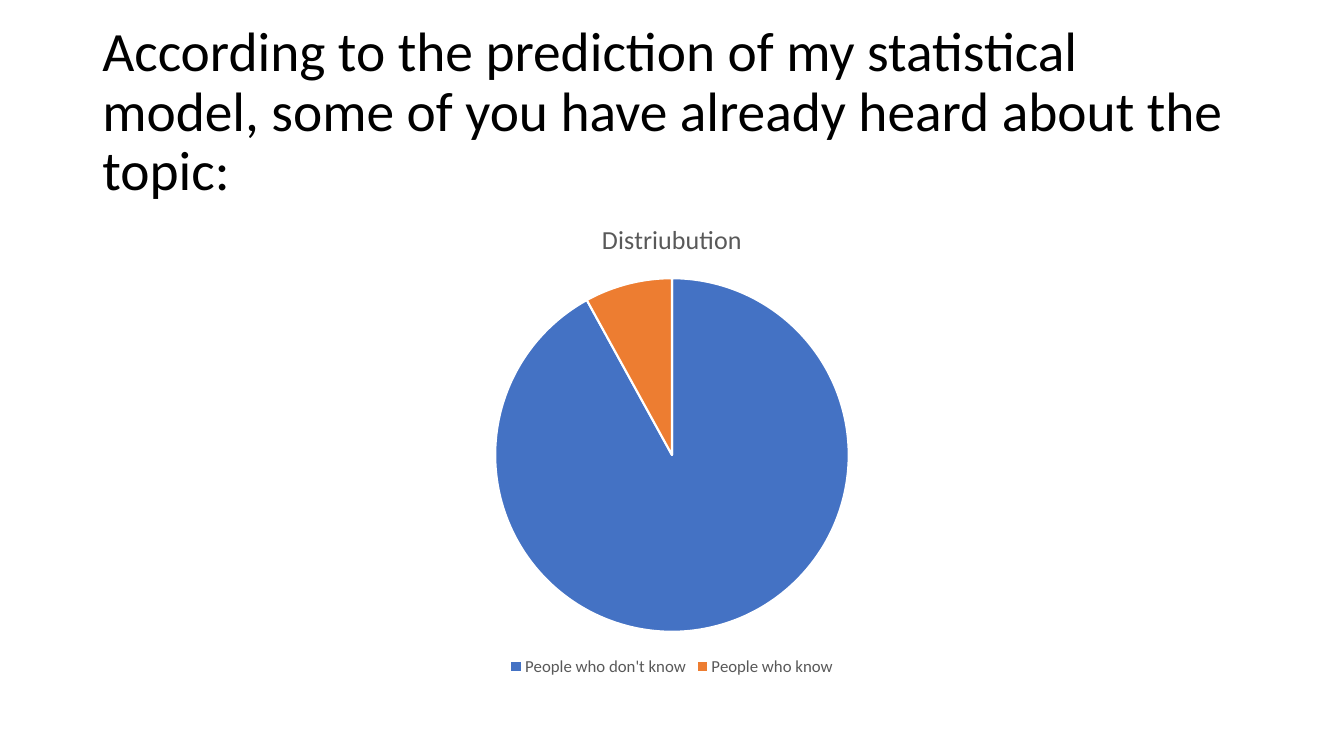
from dataclasses import dataclass

import pptx
import pptx.chart.data
import pptx.dml.color
import pptx.enum.chart
import pptx.enum.text
import pptx.slide
import pptx.text.text
import pptx.util
from pptx.util import Cm


@dataclass(frozen=True)
class Theme:
    font: str = "Calibri"
    title_color: str = "000000"
    chart_text_color: str = "595959"
    slice_border: str = "FFFFFF"
    title_size: float = 39.6
    chart_title_size: float = 18.6
    legend_size: float = 12


@dataclass(frozen=True)
class Slice:
    label: str
    value: float
    color: str


THEME = Theme()
LEFT, WIDTH = Cm(2.33), Cm(29.21)
TITLE = (
    "According to the prediction of my statistical model, "
    "some of you have already heard about the topic:"
)
CHART_TITLE = "Distriubution"
SLICES = [
    Slice("People who don't know", 92, "4472C4"),
    Slice("People who know", 8, "ED7D31"),
]


def rgb(color: str) -> pptx.dml.color.RGBColor:
    return pptx.dml.color.RGBColor.from_string(color)


def style_font(font: pptx.text.text.Font, size: float, color: str) -> None:
    font.name = THEME.font
    font.size = pptx.util.Pt(size)
    font.bold = False
    font.color.rgb = rgb(color)


def add_title(slide: pptx.slide.Slide) -> None:
    tf = slide.shapes.add_textbox(LEFT, Cm(1.01), WIDTH, Cm(3.68)).text_frame
    tf.word_wrap = True
    tf.vertical_anchor = pptx.enum.text.MSO_ANCHOR.MIDDLE
    tf.text = TITLE
    p = tf.paragraphs[0]
    p.line_spacing = 0.9
    style_font(p.runs[0].font, THEME.title_size, THEME.title_color)


def add_pie(slide: pptx.slide.Slide) -> None:
    data = pptx.chart.data.CategoryChartData()
    data.categories = [s.label for s in SLICES]
    data.add_series(CHART_TITLE, [s.value for s in SLICES])
    chart = slide.shapes.add_chart(
        pptx.enum.chart.XL_CHART_TYPE.PIE, LEFT, Cm(5.07), WIDTH, Cm(12.09), data
    ).chart
    style_font(chart.font, THEME.legend_size, THEME.chart_text_color)

    chart.has_title = True
    tf = chart.chart_title.text_frame
    tf.text = CHART_TITLE
    style_font(
        tf.paragraphs[0].runs[0].font, THEME.chart_title_size, THEME.chart_text_color
    )
    chart.chart_title.include_in_layout = False

    chart.has_legend = True
    chart.legend.position = pptx.enum.chart.XL_LEGEND_POSITION.BOTTOM
    chart.legend.include_in_layout = False
    style_font(chart.legend.font, THEME.legend_size, THEME.chart_text_color)

    plot = chart.plots[0]
    plot.vary_by_categories = True
    for i, item in enumerate(SLICES):
        fmt = plot.series[0].points[i].format
        fmt.fill.solid()
        fmt.fill.fore_color.rgb = rgb(item.color)
        fmt.line.color.rgb = rgb(THEME.slice_border)
        fmt.line.width = pptx.util.Pt(1.5)


def main() -> None:
    prs = pptx.Presentation()
    prs.slide_width, prs.slide_height = Cm(33.87), Cm(19.05)
    slide = prs.slides.add_slide(prs.slide_layouts[6])
    add_title(slide)
    add_pie(slide)
    prs.save("out.pptx")


if __name__ == "__main__":
    main()
